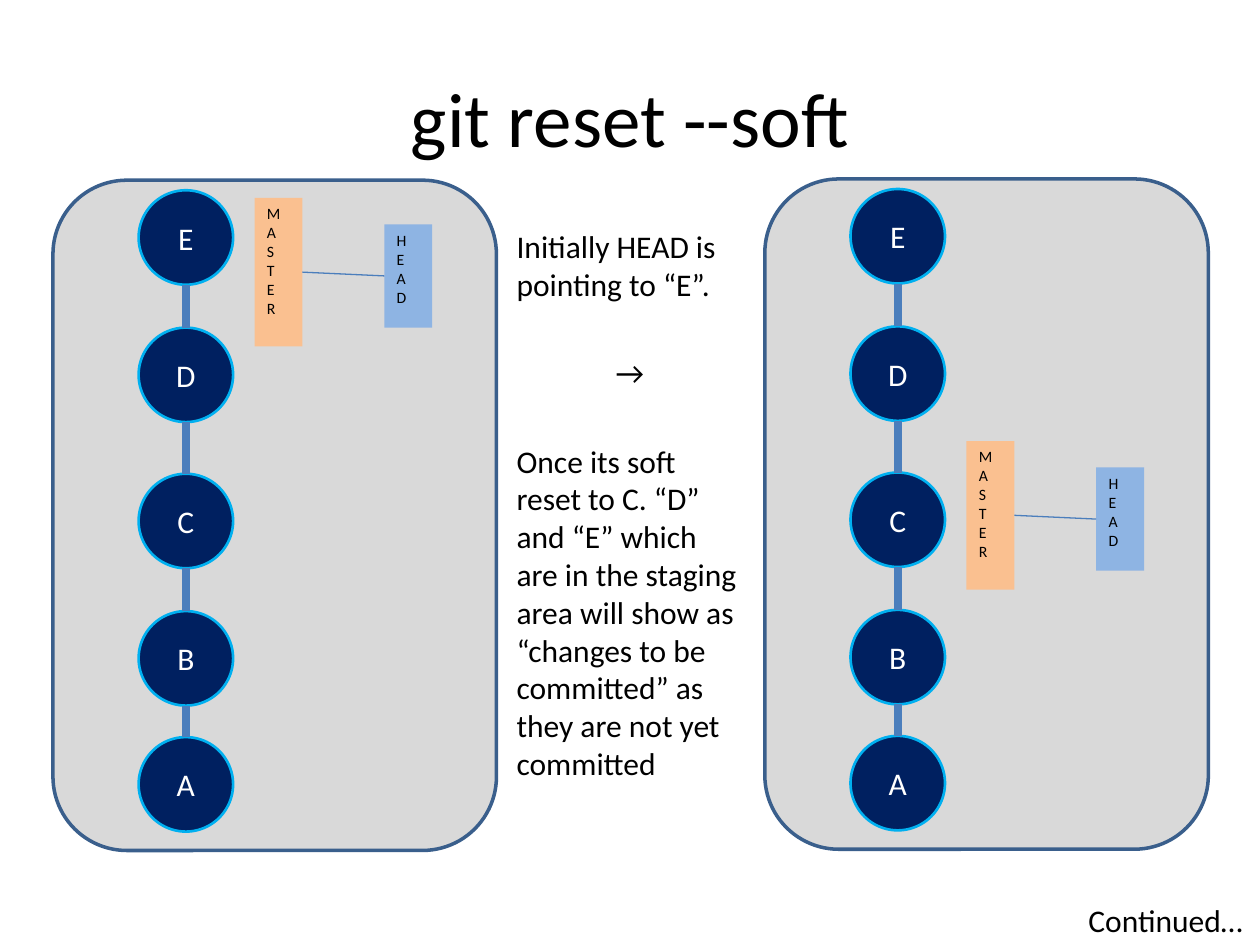
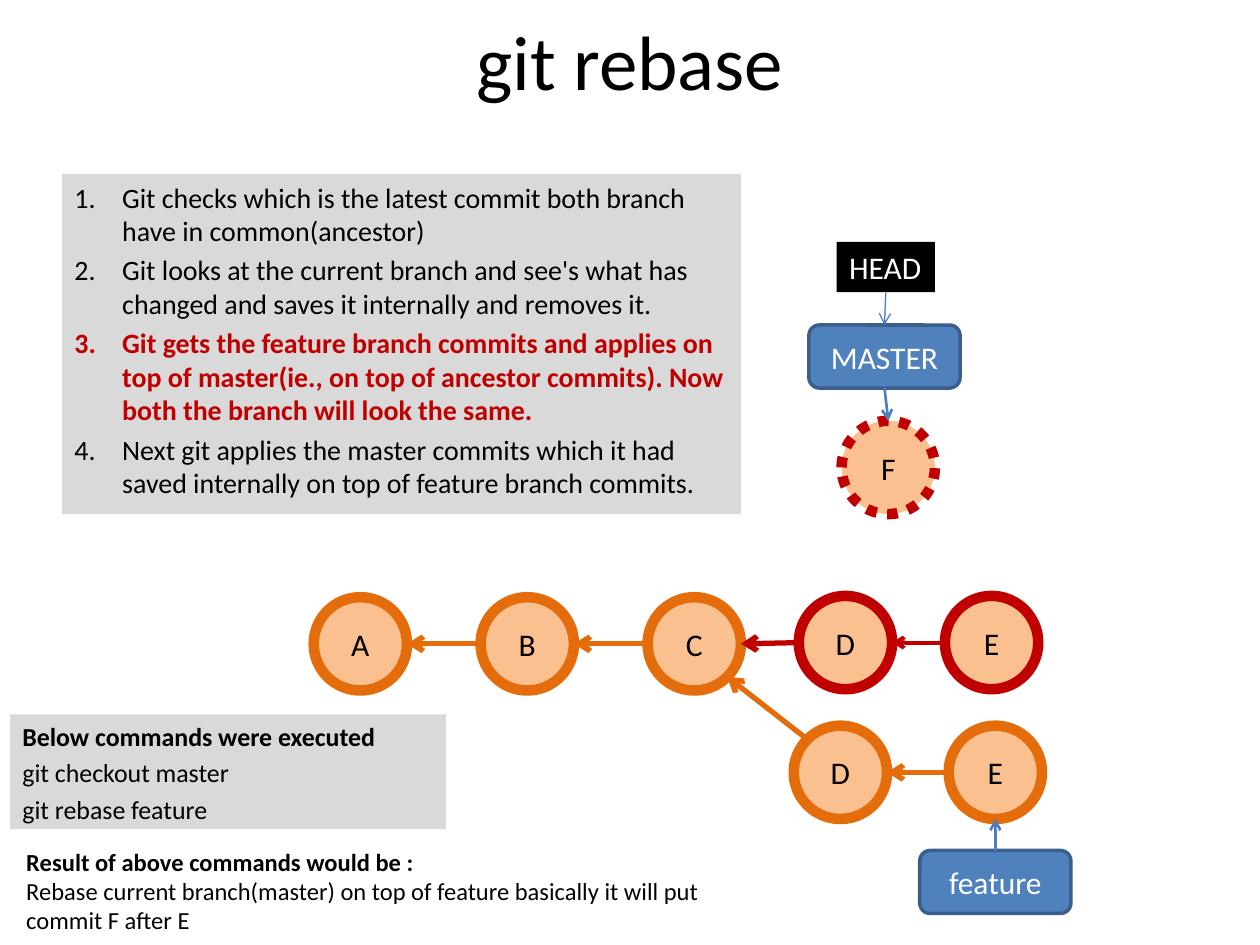
from dataclasses import dataclass
from itertools import pairwise
from math import sqrt

from lxml.etree import SubElement
from pptx import Presentation
from pptx.dml.color import RGBColor
from pptx.enum.dml import MSO_LINE
from pptx.enum.shapes import MSO_CONNECTOR, MSO_SHAPE
from pptx.enum.text import MSO_ANCHOR, MSO_AUTO_SIZE, PP_ALIGN
from pptx.oxml.ns import qn
from pptx.util import Inches, Pt

BLACK = RGBColor(0x00, 0x00, 0x00)
WHITE = RGBColor(0xFF, 0xFF, 0xFF)
PANEL_GREY = RGBColor(0xD9, 0xD9, 0xD9)
NAVY = RGBColor(0x00, 0x20, 0x60)
CYAN = RGBColor(0x00, 0xB0, 0xF0)
LINK_BLUE = RGBColor(0x4B, 0x7E, 0xBC)
BORDER_BLUE = RGBColor(0x3A, 0x5F, 0x8C)
BRANCH_BLUE = RGBColor(0x4F, 0x81, 0xBD)
HEAD_BLUE = RGBColor(0x8E, 0xB4, 0xE3)
PEACH = RGBColor(0xFA, 0xC0, 0x90)
ORANGE = RGBColor(0xE4, 0x6C, 0x0A)
RED = RGBColor(0xC0, 0x00, 0x00)

FONT = "Calibri"
WIDTH, HEIGHT = Inches(10), Inches(7.5)
COLUMN, ROW = WIDTH / 100, HEIGHT / 75
LEFT, RIGHT, TOP, BOTTOM = (-1, 0), (1, 0), (0, -1), (0, 1)
LOWER_RIGHT = (1 / sqrt(2), 1 / sqrt(2))
UPPER_LEFT = (-1 / sqrt(2), -1 / sqrt(2))


@dataclass
class Box:
    left: float
    top: float
    width: float
    height: float

    def inside(self, column, row, width, height):
        return Box(self.left + column, self.top + row, width, height)

    def edge(self, direction):
        across, down = direction
        return (round((self.left + self.width * (1 + across) / 2) * COLUMN),
                round((self.top + self.height * (1 + down) / 2) * ROW))

    def emu(self):
        return (round(self.left * COLUMN), round(self.top * ROW),
                round(self.width * COLUMN), round(self.height * ROW))


def format_paragraph(paragraph, size, color=BLACK, bold=False, align=PP_ALIGN.LEFT):
    paragraph.alignment = align
    font = paragraph.font
    font.name, font.size, font.bold = FONT, Pt(size), bold
    font.color.rgb = color


def write_lines(frame, lines):
    for index, line in enumerate(lines):
        paragraph = frame.paragraphs[0] if index == 0 else frame.add_paragraph()
        paragraph.text = line
        yield paragraph


def add_node(slide, preset, box, fill, border, border_width, label="", color=BLACK):
    node = slide.shapes.add_shape(preset, *box.emu())
    node.shadow.inherit = False
    node.fill.solid()
    node.fill.fore_color.rgb = fill
    node.line.color.rgb = border
    node.line.width = Pt(border_width)
    if label:
        node.text_frame.text = label
        format_paragraph(node.text_frame.paragraphs[0], 18, color, align=PP_ALIGN.CENTER)
    return node


def add_note(slide, box, fill=None, grow=True, wrap=True):
    note = slide.shapes.add_textbox(*box.emu())
    if fill is not None:
        note.fill.solid()
        note.fill.fore_color.rgb = fill
    note.text_frame.word_wrap = wrap
    note.text_frame.auto_size = MSO_AUTO_SIZE.SHAPE_TO_FIT_TEXT if grow else MSO_AUTO_SIZE.NONE
    return note


def add_tag(slide, box, label, size, color=BLACK, fill=None, stacked=False):
    tag = add_note(slide, box, fill, wrap=False)
    tag.text_frame.text = label
    format_paragraph(tag.text_frame.paragraphs[0], size, color)
    if stacked:
        tag.element.txBody.find(qn("a:bodyPr")).set("vert", "wordArtVert")
    return tag


def add_link(slide, start, end, color, width, arrow=True):
    link = slide.shapes.add_connector(MSO_CONNECTOR.STRAIGHT, *start, *end)
    link.line.color.rgb = color
    link.line.width = Pt(width)
    properties = link.element.spPr
    if arrow:
        SubElement(properties.find(qn("a:ln")), qn("a:tailEnd"), type="arrow")
    SubElement(properties, qn("a:effectLst"))
    return link


def place(placeholder, box):
    placeholder.left, placeholder.top, placeholder.width, placeholder.height = box.emu()
    placeholder.text_frame.auto_size = MSO_AUTO_SIZE.NONE
    return placeholder.text_frame


def set_bullet(paragraph, kind, indent=0, **attributes):
    properties = paragraph._p.get_or_add_pPr()
    properties.set("marL", str(indent))
    properties.set("indent", str(-indent))
    SubElement(properties, qn(kind), **attributes)


def add_titled_slide(deck, title, box):
    slide = deck.slides.add_slide(deck.slide_layouts[1])
    frame = place(slide.shapes.title, box)
    frame.text = title
    frame.vertical_anchor = MSO_ANCHOR.MIDDLE
    format_paragraph(frame.paragraphs[0], 44, align=PP_ALIGN.CENTER)
    return slide


def history_panel(slide, box, pointer_row):
    add_node(slide, MSO_SHAPE.ROUNDED_RECTANGLE, box, PANEL_GREY, BORDER_BLUE, 2)
    commits = []
    for label, row in zip("EDCBA", (0.8, 11.7, 23.3, 34.2, 44.2)):
        commit = box.inside(6.8, row, 7.5, 7.5)
        add_node(slide, MSO_SHAPE.OVAL, commit, NAVY, CYAN, 1.5, label, WHITE)
        commits.append(commit)
    for newer, older in pairwise(commits):
        add_link(slide, older.edge(TOP), newer.edge(BOTTOM), LINK_BLUE, 4.5, arrow=False)
    master_box = box.inside(16, pointer_row, 3.8, 11.8)
    head_box = box.inside(26.3, pointer_row + 2.1, 3.8, 8.2)
    master = add_tag(slide, master_box, "MASTER", 9, fill=PEACH, stacked=True)
    head = add_tag(slide, head_box, "HEAD", 9, fill=HEAD_BLUE, stacked=True)
    link = add_link(slide, head_box.edge(LEFT), master_box.edge(RIGHT), LINK_BLUE, 0.75, arrow=False)
    link.begin_connect(head, 1)
    link.end_connect(master, 3)


def reset_explanation(slide, box):
    frame = place(slide.placeholders[1], box)
    lines = (
        "Initially HEAD is pointing to “E”.",
        "→",
        "Once its soft reset to C. “D” and “E” which are in the staging area will show as "
        "“changes to be committed” as they are not yet committed",
    )
    for index, paragraph in enumerate(write_lines(frame, lines)):
        paragraph.space_before = Pt(29 if index else 0)
        set_bullet(paragraph, "a:buNone")
        format_paragraph(paragraph, 18, align=PP_ALIGN.CENTER if index == 1 else PP_ALIGN.LEFT)


def rebase_steps(slide, box):
    body = slide.placeholders[1]
    frame = place(body, box)
    body.fill.solid()
    body.fill.fore_color.rgb = PANEL_GREY
    steps = (
        "Git checks which is the latest commit both branch have in common(ancestor)",
        "Git looks at the current branch and see's what has changed and saves it internally "
        "and removes it.",
        "Git gets the feature branch commits and applies on top of master(ie., on top of "
        "ancestor commits). Now both the branch will look the same.",
        "Next git applies the master commits which it had saved internally on top of feature "
        "branch commits.",
    )
    for index, paragraph in enumerate(write_lines(frame, steps)):
        current = index == 2
        paragraph.space_before = Pt(3.2 if index else 0)
        set_bullet(paragraph, "a:buAutoNum", Inches(0.38), type="arabicPeriod")
        format_paragraph(paragraph, 16, RED if current else BLACK, current)


def add_commit(slide, box, label, border=ORANGE):
    return add_node(slide, MSO_SHAPE.OVAL, box, PEACH, border, 6, label)


def add_branch(slide, box, label):
    return add_node(slide, MSO_SHAPE.ROUNDED_RECTANGLE, box, BRANCH_BLUE, BORDER_BLUE, 2, label, WHITE)


def head_stack(slide, box):
    head_box = box.inside(2.2, 0, 7.8, 4)
    master_box = box.inside(0, 6.6, 12, 5)
    saved_box = box.inside(2.6, 14.2, 7.4, 7.4)
    head = add_tag(slide, head_box, "HEAD", 18, WHITE, BLACK)
    master = add_branch(slide, master_box, "MASTER")
    saved = add_commit(slide, saved_box, "F", RED)
    saved.line.dash_style = MSO_LINE.ROUND_DOT
    to_master = add_link(slide, head_box.edge(BOTTOM), master_box.edge(TOP), LINK_BLUE, 0.75)
    to_master.begin_connect(head, 2)
    to_master.end_connect(master, 0)
    to_saved = add_link(slide, master_box.edge(BOTTOM), saved_box.edge(TOP), LINK_BLUE, 1.5)
    to_saved.begin_connect(master, 2)


def commit_graph(slide, box):
    size = 7.4
    shared = [box.inside(13.25 * step, 0.1, size, size) for step in range(3)]
    applied = [box.inside(column, 0, size, size) for column in (38.5, 50.1)]
    feature = [box.inside(column, 10.3, size, size) for column in (38.1, 50.4)]
    for commits, labels, border in ((shared, "ABC", ORANGE), (applied, "DE", RED), (feature, "DE", ORANGE)):
        for commit, label in zip(commits, labels):
            add_commit(slide, commit, label, border)
    links = [(*pair, ORANGE, 3) for pair in (*pairwise(shared), feature)]
    links += [(shared[-1], applied[0], RED, 3), (*applied, RED, 2.25)]
    for older, newer, color, width in links:
        add_link(slide, newer.edge(LEFT), older.edge(RIGHT), color, width)
    add_link(slide, feature[0].edge(UPPER_LEFT), shared[-1].edge(LOWER_RIGHT), ORANGE, 3)
    branch_box = box.inside(48.1, 20.2, 12, 5)
    branch = add_branch(slide, branch_box, "feature")
    to_tip = add_link(slide, branch_box.edge(TOP), feature[-1].edge(BOTTOM), LINK_BLUE, 1.5)
    to_tip.begin_connect(branch, 0)


def headed_note(slide, box, lines, size, spacing=0, fill=None):
    note = add_note(slide, box, fill, grow=fill is None)
    for index, paragraph in enumerate(write_lines(note.text_frame, lines)):
        paragraph.space_before = Pt(spacing if index else 0)
        format_paragraph(paragraph, size, bold=index == 0)


def soft_reset_slide(deck):
    slide = add_titled_slide(deck, "git reset --soft", Box(5, 3, 90, 12.5))
    history_panel(slide, Box(4.2, 14.3, 35.2, 53.2), 1.4)
    history_panel(slide, Box(60.7, 14.2, 35.2, 53.2), 20.8)
    reset_explanation(slide, Box(40, 17.5, 20, 49.5))
    add_tag(slide, Box(85.4, 71, 14.4, 4), "Continued…", 18)


def rebase_slide(deck):
    slide = add_titled_slide(deck, "git rebase", Box(5, 0, 90, 9.4))
    rebase_steps(slide, Box(4.9, 13.8, 53.9, 27))
    head_stack(slide, Box(64.2, 19.2, 12, 21.6))
    commit_graph(slide, Box(24.9, 47.3, 60.1, 25.2))
    commands = ("Below commands were executed", "git checkout master", "git rebase feature")
    headed_note(slide, Box(0.8, 56.7, 34.6, 9.1), commands, 14.8, 3, PANEL_GREY)
    result = (
        "Result of above commands would be :",
        "Rebase current branch(master) on top of feature basically it will put commit F after E",
    )
    headed_note(slide, Box(1.1, 66.7, 60.5, 8.1), result, 14)


def main():
    deck = Presentation()
    deck.slide_width, deck.slide_height = WIDTH, HEIGHT
    soft_reset_slide(deck)
    rebase_slide(deck)
    deck.save("out.pptx")


if __name__ == "__main__":
    main()
